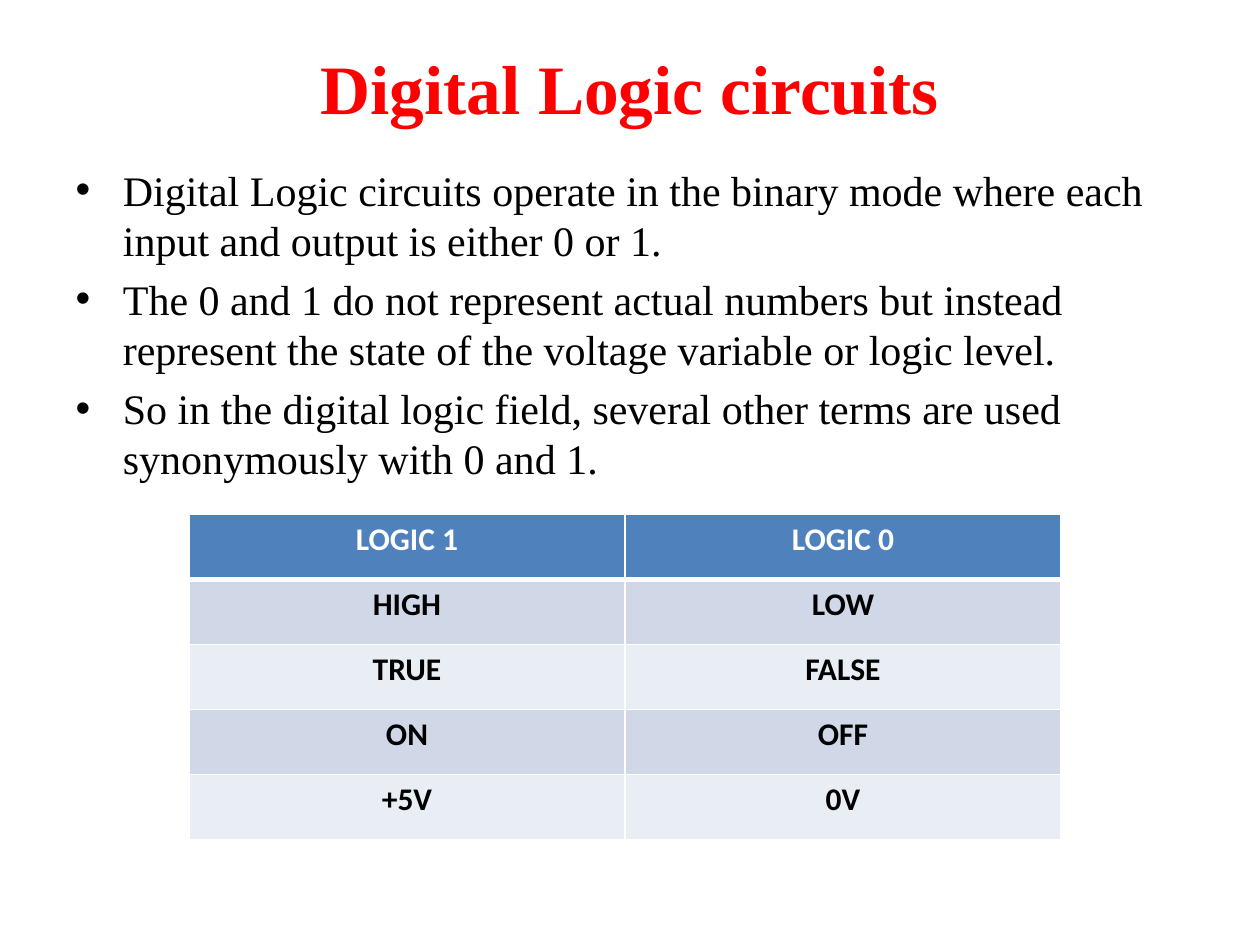
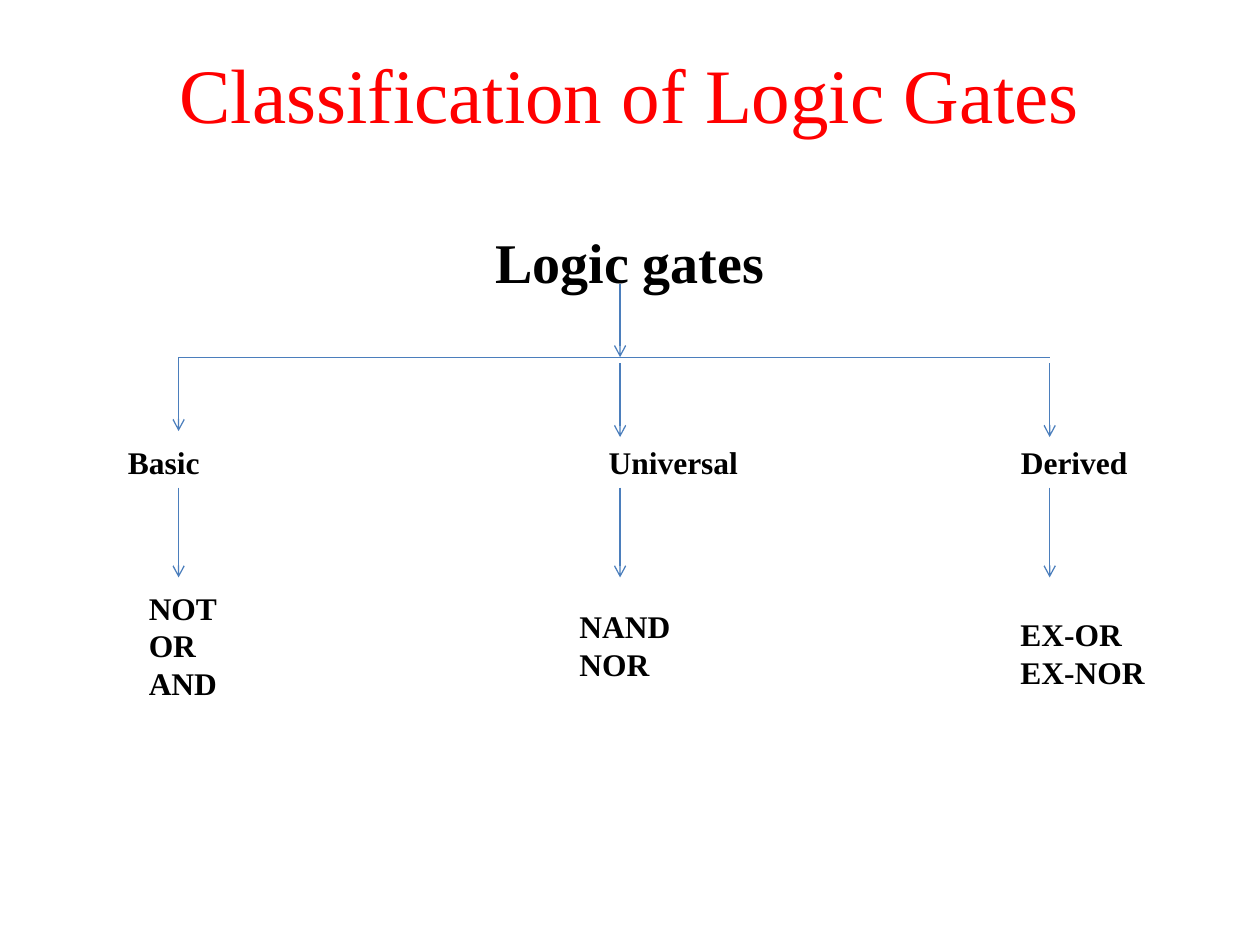
from dataclasses import dataclass

from lxml import etree
from pptx import Presentation
from pptx import util as u
from pptx.dml.color import RGBColor
from pptx.enum import shapes, text
from pptx.oxml import ns


@dataclass(frozen=True)
class Theme:
    serif: str = "Times New Roman"
    sans: str = "Calibri"
    red: str = "FF0000"
    black: str = "000000"
    white: str = "FFFFFF"
    line: str = "4B7EBC"
    header: str = "4F81BD"
    bands: tuple = ("D0D8E8", "E9EDF4")
    title_size: float = 44
    small_title_size: float = 39.6
    heading_size: float = 32
    body_size: float = 24
    label_size: float = 18


def add_element(parent, tag, **attributes):
    return etree.SubElement(parent, ns.qn(tag), attributes)


class PageBuilder:
    def __init__(self, deck, theme):
        self.deck = deck
        self.theme = theme
        self.page = None

    def new_page(self):
        self.page = self.deck.slides.add_slide(self.deck.slide_layouts[1])

    def place(self, shape, *frame):
        for name, value in zip(("left", "top", "width", "height"), frame):
            setattr(shape, name, u.Cm(value))

    def add_words(self, para, words, color=None, align=None, **font_format):
        para.alignment = align
        span = para.add_run()
        span.text = words
        settings = {"name": self.theme.serif, "size": self.theme.label_size, "bold": False}
        settings.update(font_format)
        settings["size"] = u.Pt(settings["size"])
        for name, value in settings.items():
            setattr(span.font, name, value)
        span.font.color.rgb = RGBColor.from_string(color or self.theme.black)

    def add_lines(self, frame, lines, **text_format):
        for index, words in enumerate(lines):
            para = frame.add_paragraph() if index else frame.paragraphs[0]
            if not index:
                para.space_before = u.Pt(0)
            self.add_words(para, words, **text_format)

    def title(self, words, height, size, bold=False):
        shape = self.page.shapes.title
        self.place(shape, 1.27, 0.76, 22.86, height)
        frame = shape.text_frame
        frame.auto_size = text.MSO_AUTO_SIZE.NONE
        frame.vertical_anchor = text.MSO_ANCHOR.MIDDLE
        self.add_words(frame.paragraphs[0], words, color=self.theme.red,
                       align=text.PP_ALIGN.CENTER, size=size, bold=bold)

    def body(self, lines, top, height, bullets=True, **text_format):
        shape = self.page.placeholders[1]
        self.place(shape, 1.27, top, 22.86, height)
        frame = shape.text_frame
        frame.auto_size = text.MSO_AUTO_SIZE.NONE
        if not bullets:
            props = frame.paragraphs[0]._p.get_or_add_pPr()
            props.set("marL", "0")
            props.set("indent", "0")
            add_element(props, "a:buNone")
        self.add_lines(frame, lines, **text_format)

    def text_box(self, lines, *frame, tabs=()):
        box = self.page.shapes.add_textbox(*map(u.Cm, frame))
        box.text_frame.word_wrap = True
        if tabs:
            props = box.text_frame.paragraphs[0]._p.get_or_add_pPr()
            stops = add_element(props, "a:tabLst")
            for position in tabs:
                add_element(stops, "a:tab", pos=str(u.Cm(position)), algn="l")
        self.add_lines(box.text_frame, lines, bold=True)

    def line(self, start, end, arrow=True):
        link = self.page.shapes.add_connector(
            shapes.MSO_CONNECTOR.STRAIGHT, *map(u.Cm, start + end))
        link.line.color.rgb = RGBColor.from_string(self.theme.line)
        link.line.width = u.Pt(0.75)
        properties = link._element.spPr
        if arrow:
            add_element(properties.find(ns.qn("a:ln")), "a:tailEnd", type="arrow")
        add_element(properties, "a:effectLst")

    def cell_borders(self, cell, **widths):
        props = cell._tc.get_or_add_tcPr()
        for side in "LRTB":
            border = add_element(props, f"a:ln{side}", w=str(u.Pt(widths.get(side, 1))))
            fill = add_element(border, "a:solidFill")
            add_element(fill, "a:srgbClr", val=self.theme.white)

    def table(self, rows, left, top, column_width, row_height):
        columns = len(rows[0])
        grid = self.page.shapes.add_table(
            len(rows), columns, u.Cm(left), u.Cm(top),
            u.Cm(column_width * columns), u.Cm(row_height * len(rows))).table
        grid.horz_banding = False
        for column in grid.columns:
            column.width = u.Cm(column_width)
        for r, row in enumerate(rows):
            grid.rows[r].height = u.Cm(row_height)
            for c, words in enumerate(row):
                cell = grid.cell(r, c)
                self.cell_borders(cell, T=3 if r == 1 else 1, B=1 if r else 3)
                cell.fill.solid()
                fill = self.theme.bands[(r - 1) % 2] if r else self.theme.header
                cell.fill.fore_color.rgb = RGBColor.from_string(fill)
                self.add_words(cell.text_frame.paragraphs[0], words,
                               color=self.theme.black if r else self.theme.white,
                               align=text.PP_ALIGN.CENTER, name=self.theme.sans, bold=True)


def logic_circuits(builder):
    theme = builder.theme
    builder.new_page()
    builder.title("Digital Logic circuits", 1.98, theme.small_title_size, bold=True)
    builder.body([
        "Digital Logic circuits operate in the binary mode where each input and output "
        "is either 0 or 1.",
        "The 0 and 1 do not represent actual numbers but instead represent the state of "
        "the voltage variable or logic level.",
        "So in the digital logic field, several other terms are used synonymously with 0 and 1.",
    ], 3.18, 13.84, size=theme.body_size)
    builder.table([
        ("LOGIC 1", "LOGIC 0"),
        ("HIGH", "LOW"),
        ("TRUE", "FALSE"),
        ("ON", "OFF"),
        ("+5V", "0V"),
    ], 3.81, 10.37, 8.79, 1.31)


def gate_classes(builder):
    theme = builder.theme
    builder.new_page()
    builder.title("Classification of Logic Gates", 2.21, theme.title_size)
    builder.body(["Logic gates"], 4.45, 12.57, bullets=False,
                 align=text.PP_ALIGN.CENTER, size=theme.heading_size, bold=True)

    basic, universal, derived = 3.6, 12.5, 21.16
    bar = 7.2
    builder.line((universal, 5.72), (universal, bar))
    builder.line((basic, bar), (derived, bar), arrow=False)
    for x, top in ((basic, bar), (universal, 7.32), (derived, 7.32)):
        builder.line((x, top), (x, top + 1.49))
        builder.line((x, 9.83), (x, 11.64))

    builder.text_box(["\t".join(("Basic", "Universal", "Derived"))],
                     2.33, 8.81, 22.22, 1.03, tabs=(9.69, 18))
    builder.text_box(["NOT", "OR", "AND"], 2.75, 11.74, 3.39, 2.57)
    builder.text_box(["NAND", "NOR"], 11.43, 12.11, 4.02, 1.8)
    builder.text_box(["EX-OR", "EX-NOR"], 20.32, 12.28, 3.6, 1.8)


def main():
    deck = Presentation()
    deck.slide_width, deck.slide_height = u.Cm(25.4), u.Cm(19.05)
    builder = PageBuilder(deck, Theme())
    logic_circuits(builder)
    gate_classes(builder)
    deck.save("out.pptx")


if __name__ == "__main__":
    main()
